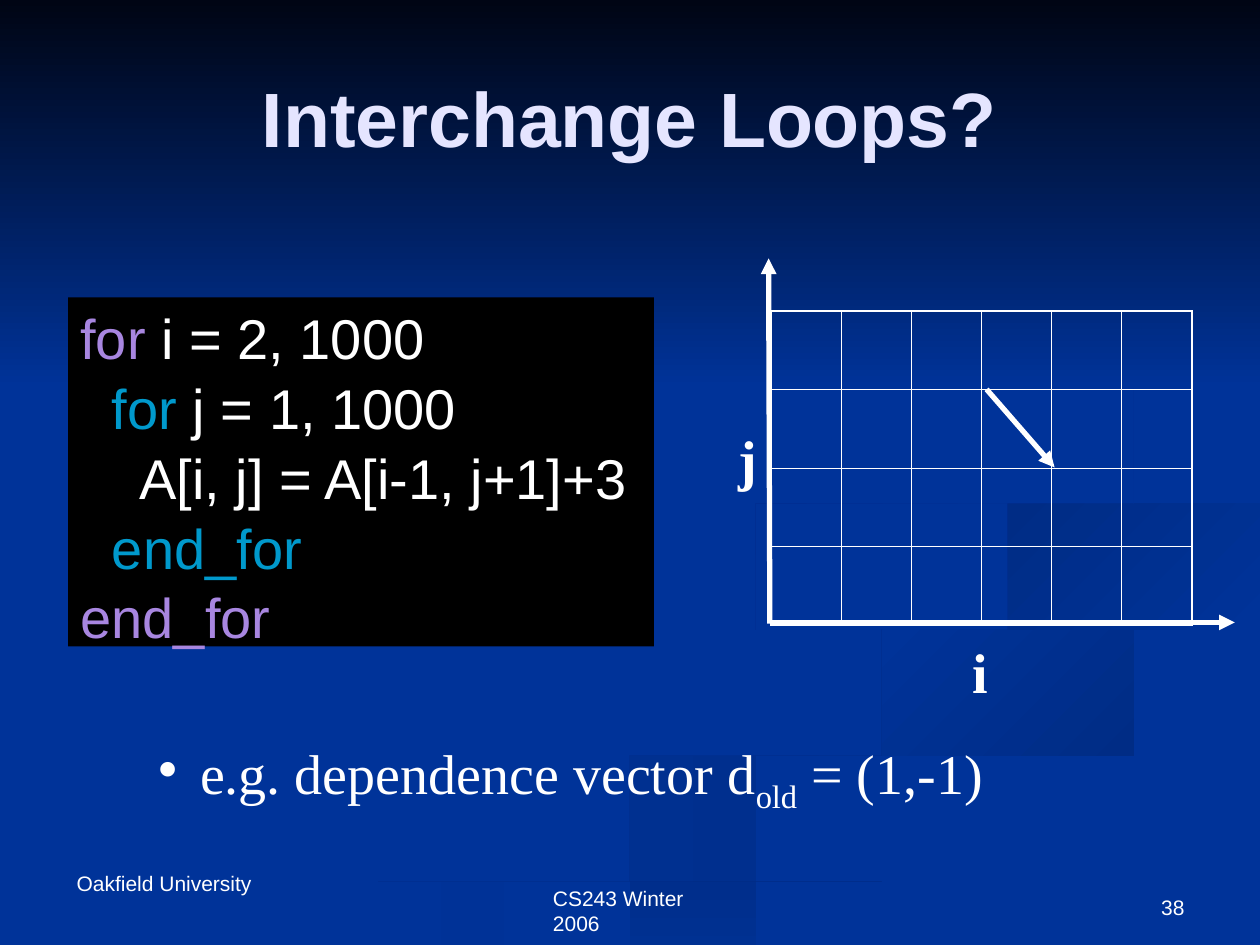
import pptx
import pptx.dml.color
import pptx.enum.shapes
import pptx.enum.text
import pptx.oxml
import pptx.oxml.ns
import pptx.util

Inches = pptx.util.Inches
Pt = pptx.util.Pt
RGBColor = pptx.dml.color.RGBColor
Align = pptx.enum.text.PP_ALIGN
Anchor = pptx.enum.text.MSO_ANCHOR
Preset = pptx.enum.shapes.MSO_SHAPE

WHITE = RGBColor(0xFF, 0xFF, 0xFF)
BLACK = RGBColor(0x00, 0x00, 0x00)
BLUE = RGBColor(0x00, 0x33, 0x99)
NIGHT = RGBColor(0x00, 0x05, 0x14)
LAVENDER = RGBColor(0xE5, 0xE5, 0xFF)
PURPLE = RGBColor(0xA8, 0x86, 0xE0)
CYAN = RGBColor(0x00, 0x99, 0xCC)
SHADE = RGBColor(0x00, 0x2C, 0x85)
SHADE_DARK = RGBColor(0x00, 0x29, 0x7C)

LOWER_EDGE = [(5, 7.5), (6.3, 6.95), (8.3, 6.3), (10, 5.8)]
UPPER_EDGE = [(10, 4), (8.2, 4.35), (7.8, 4.6)]
RIBBONS = [
    ([[(3, 7.5), (5, 6.6), (7.1, 6.05), (7.8, 5.6), (6.5, 5.1), (5.7, 4.7)],
      [(5.75, 4.6), (6.8, 5.2), (7.8, 5.55), (7.2, 6.2), (5.3, 6.75), (3.6, 7.5)]],
     SHADE, BLUE, 180),
    ([LOWER_EDGE, [(10, 6.1), (7.9, 6.6), (5.7, 7.5)]], SHADE_DARK, BLUE, 90),
    ([[(4.8, 7.5), (7, 6.55), (9.2, 5.95), (9.3, 5.55), (7.9, 5.1), (7.25, 4.6), (8.1, 4.2), (10, 3.9)],
      UPPER_EDGE + [(8.5, 5.05), (10, 5.4)], LOWER_EDGE[::-1]],
     BLUE, BLUE, 0),
    ([[(9.4, 5.7), (8.9, 5.35), (7.9, 5.1), (7.25, 4.65)],
      [(7.3, 4.85), (8.4, 5.35), (9.2, 5.75), (8.95, 6.05)]],
     SHADE, BLUE, 225),
    ([UPPER_EDGE + [(8.25, 4.95)], [(8.05, 4.75), (8.45, 4.5), (10, 4.2)]], BLUE, SHADE, 225),
    ([[(7.6, 2.35), (8.75, 3.05), (8.7, 3.65), (6.6, 4.15), (5.8, 4.6), (6.2, 5)],
      [(5.95, 4.7), (6.8, 4.3), (8.7, 3.8), (8.9, 3.2), (7.6, 2.35)]],
     BLUE, SHADE, 225),
]


def add_text(paragraph, text, size=32, font="Arial", color=WHITE, bold=False, baseline=None):
    run = paragraph.add_run()
    run.text = text
    run.font.size = Pt(size)
    run.font.name = font
    run.font.color.rgb = color
    run.font.bold = bold
    if baseline is not None:
        run.font._element.set("baseline", str(baseline))


def add_box(slide, box, align=Align.LEFT, anchor=Anchor.TOP, wrap=True):
    shape = slide.shapes.add_textbox(*map(Inches, box))
    shape.text_frame.word_wrap = wrap
    shape.text_frame.vertical_anchor = anchor
    paragraph = shape.text_frame.paragraphs[0]
    paragraph.alignment = align
    return paragraph


def add_arrow(slide, start, end):
    arrow = slide.shapes.add_connector(
        pptx.enum.shapes.MSO_CONNECTOR.STRAIGHT, *map(Inches, start + end))
    arrow.line.color.rgb = WHITE
    arrow.line.width = Pt(3)
    line = arrow.line._get_or_add_ln()
    line.append(pptx.oxml.parse_xml(f'<a:tailEnd {pptx.oxml.ns.nsdecls("a")} type="triangle"/>'))
    arrow._element.spPr.append(pptx.oxml.parse_xml(f'<a:effectLst {pptx.oxml.ns.nsdecls("a")}/>'))


def smooth(points, steps=6):
    padded = [points[0], *points, points[-1]]
    curve = [points[0]]
    for before, start, end, after in zip(padded, padded[1:], padded[2:], padded[3:]):
        for step in range(1, steps + 1):
            t = step / steps
            curve.append(tuple(
                b + t * (c - a + t * (2 * a - 5 * b + 4 * c - d + t * (3 * (b - c) + d - a))) / 2
                if step < steps else c
                for a, b, c, d in zip(before, start, end, after)))
    return curve


def fill_gradient(shape, first, last, angle):
    shape.shadow.inherit = False
    shape.line.fill.background()
    shape.fill.gradient()
    shape.fill.gradient_angle = -angle % 360
    for position, (stop, color) in enumerate(zip(shape.fill.gradient_stops, (first, last))):
        stop.color.rgb = color
        stop.position = position


def add_backdrop(slide, left, top, width):
    slide.background.fill.solid()
    slide.background.fill.fore_color.rgb = BLUE
    for edges, first, last, angle in RIBBONS:
        points = [point for edge in edges for point in smooth(edge)]
        builder = slide.shapes.build_freeform(*points[0], scale=Inches(1))
        builder.add_line_segments(points[1:], close=True)
        fill_gradient(builder.convert_to_shape(Inches(left), Inches(top)), first, last, angle)
    band = slide.shapes.add_shape(Preset.RECTANGLE, *map(Inches, (left, top, width, 3.08)))
    fill_gradient(band, NIGHT, BLUE, 90)


def add_code(slide, box):
    shape = slide.shapes.add_shape(Preset.RECTANGLE, *map(Inches, box))
    shape.shadow.inherit = False
    shape.fill.solid()
    shape.fill.fore_color.rgb = BLACK
    shape.line.fill.background()
    frame = shape.text_frame
    frame.word_wrap = True
    frame.vertical_anchor = Anchor.TOP
    lines = [(0, "for", PURPLE, " i = 2, 1000"), (0.25, "for", CYAN, " j = 1, 1000"),
             (0.47, "", WHITE, "A[i, j] = A[i-1, j+1]+3"),
             (0.25, "end_for", CYAN, ""), (0, "end_for", PURPLE, "")]
    for index, (indent, keyword, color, rest) in enumerate(lines):
        paragraph = frame.add_paragraph() if index else frame.paragraphs[0]
        paragraph.alignment = Align.LEFT
        paragraph.space_after = Pt(1.5)
        paragraph._p.get_or_add_pPr().set("marL", str(Inches(indent)))
        for text, text_color in ((keyword, color), (rest, WHITE)):
            if text:
                add_text(paragraph, text, color=text_color)


def set_borders(cell, widths):
    properties = cell._tc.get_or_add_tcPr()
    for index, (side, width) in enumerate(zip("LRTB", widths)):
        properties.insert(index, pptx.oxml.parse_xml(
            f'<a:ln{side} {pptx.oxml.ns.nsdecls("a")} w="{Pt(width)}">'
            f'<a:solidFill><a:srgbClr val="{WHITE}"/></a:solidFill></a:ln{side}>'))


def add_iteration_space(slide, box, rows=4, columns=6):
    left, top, width, height = box
    table = slide.shapes.add_table(rows, columns, *map(Inches, box)).table
    table.first_row = False
    table.horz_banding = False
    for row in range(rows):
        for column in range(columns):
            cell = table.cell(row, column)
            cell.fill.background()
            edges = (column == 0, column == columns - 1, row == 0, row == rows - 1)
            set_borders(cell, [1.08 if edge else 0.45 for edge in edges])
    for name, x, y in (("i", 1.5, 2.54), ("j", -0.36, 0.85)):
        label = add_box(slide, (left + x, top + y, 0.35, 0.64), wrap=False)
        add_text(label, name, font="Times New Roman", bold=True)
    bottom = top + height
    add_arrow(slide, (left, bottom - 0.02), (left + 3.68, bottom - 0.02))
    add_arrow(slide, (left - 0.01, bottom - 0.01), (left - 0.02, top - 0.42))
    add_arrow(slide, (left + 1.71, top + 0.62), (left + 2.25, top + 1.24))


def add_dependence(slide, box):
    paragraph = add_box(slide, box)
    properties = paragraph._p.get_or_add_pPr()
    properties.set("marL", str(Inches(0.33)))
    properties.set("indent", str(Inches(-0.33)))
    properties.append(pptx.oxml.parse_xml(f'<a:buChar {pptx.oxml.ns.nsdecls("a")} char="•"/>'))
    for text, baseline in (("e.g. dependence vector d", None), ("old", -25000), (" = (1,-1)", None)):
        add_text(paragraph, text, font="Times New Roman", baseline=baseline)


def add_footer(slide, left, top):
    add_text(add_box(slide, (left, top + 0.03, 1.88, 0.3)), "Oakfield University", size=12)
    add_text(add_box(slide, (left + 3.78, top + 0.15, 1.65, 0.3), wrap=False), "CS243 Winter 2006", size=12)
    number = add_box(slide, (left + 6.66, top, 2.33, 0.52), align=Align.RIGHT, anchor=Anchor.BOTTOM)
    add_text(number, "38", size=12)


def main():
    presentation = pptx.Presentation()
    presentation.slide_width = Inches(10)
    presentation.slide_height = Inches(7.5)
    slide = presentation.slides.add_slide(presentation.slide_layouts[6])
    add_backdrop(slide, 0, 0, 10)
    add_footer(slide, 0.51, 6.83)
    title = add_box(slide, (0.5, 0.3, 9, 1.25), align=Align.CENTER, anchor=Anchor.MIDDLE)
    add_text(title, "Interchange Loops?", size=44, color=LAVENDER, bold=True)
    add_code(slide, (0.54, 2.36, 4.65, 2.77))
    add_dependence(slide, (1.16, 5.81, 8.16, 0.71))
    add_iteration_space(slide, (6.12, 2.47, 3.34, 2.49))
    presentation.save("out.pptx")


if __name__ == "__main__":
    main()
